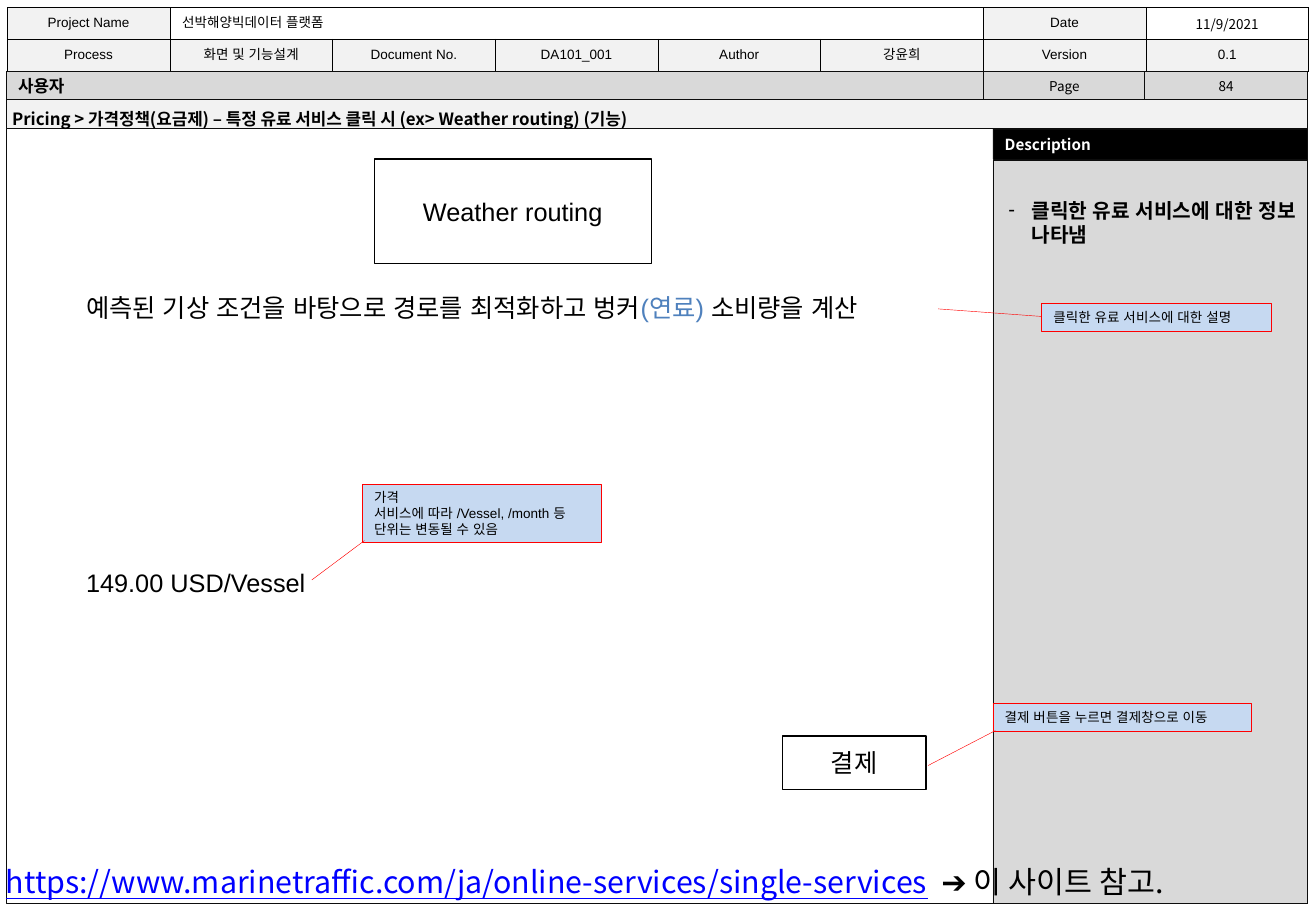
from lxml import etree
from pptx import Presentation
from pptx.dml.color import RGBColor
from pptx.enum.shapes import MSO_SHAPE as SHAPE
from pptx.enum.text import MSO_ANCHOR as ANCHOR, MSO_AUTO_SIZE as AUTO, PP_ALIGN as ALIGN
from pptx.oxml.ns import qn
from pptx.util import Inches, Pt

COLORS = {
    "black": "000000", "white": "FFFFFF", "frame": "0D0D0D", "gray": "D9D9D9",
    "pale": "F2F2F2", "note": "C6D9F1", "red": "FF0000", "accent": "4F81BD",
    "url": "0000FF",
}
SANS, NOTO = "Arial", "Noto Sans CJK KR"


def rgb(name):
    return RGBColor.from_string(COLORS[name])


def format_run(r, size, font=SANS, color="black", bold=False, underline=False):
    r.font.size = Pt(size)
    r.font.name = font
    r.font.bold = bold
    r.font.underline = underline
    r.font.color.rgb = rgb(color)
    # Korean text takes the same typeface as Latin text
    latin = r.font._element.find(qn("a:latin"))
    east_asian = etree.Element(qn("a:ea"))
    east_asian.set("typeface", font)
    latin.addnext(east_asian)


def write(tf, text, size, align=ALIGN.LEFT, anchor=ANCHOR.MIDDLE, **style):
    tf.text = text
    tf.word_wrap = True
    tf.vertical_anchor = anchor
    for p in tf.paragraphs:
        p.alignment = align
        for r in p.runs:
            format_run(r, size, **style)


def add_box(s, bounds, fill=None, line="frame", weight=0.25, kind=SHAPE.RECTANGLE):
    sp = s.shapes.add_shape(kind, *map(Inches, bounds))
    sp.shadow.inherit = False
    if fill:
        sp.fill.solid()
        sp.fill.fore_color.rgb = rgb(fill)
    else:
        sp.fill.background()
    sp.line.color.rgb = rgb(line)
    sp.line.width = Pt(weight)
    return sp


def add_text(s, bounds, text, size, **style):
    tf = s.shapes.add_textbox(*map(Inches, bounds)).text_frame
    write(tf, text, size, anchor=ANCHOR.TOP, **style)
    return tf


def add_run(p, text, size, **style):
    r = p.add_run()
    r.text = text
    format_run(r, size, **style)


def add_callout(s, bounds, text, pointer):
    sp = add_box(s, bounds, "note", "red", kind=SHAPE.LINE_CALLOUT_1)
    for i, value in enumerate(pointer):
        sp.adjustments[i] = value
    write(sp.text_frame, text, 8)


def add_button(s, bounds, text):
    sp = add_box(s, bounds, "white", "black", 0.75)
    write(sp.text_frame, text, 15, align=ALIGN.CENTER)


def set_borders(cell):
    tc_pr = cell._tc.get_or_add_tcPr()
    for i, side in enumerate(("lnL", "lnR", "lnT", "lnB")):
        ln = etree.Element(qn(f"a:{side}"), w=str(Pt(0.25)))
        fill = etree.SubElement(ln, qn("a:solidFill"))
        etree.SubElement(fill, qn("a:srgbClr"), val=COLORS["black"])
        tc_pr.insert(i, ln)


def add_document_table(s):
    rows = [
        ["Project Name", "선박해양빅데이터 플랫폼", "", "", "", "", "Date", "11/9/2021"],
        ["Process", "화면 및 기능설계", "Document No.", "DA101_001",
         "Author", "강윤희", "Version", "0.1"],
    ]
    bounds = (0.06, 0.06, 10.71, 0.52)
    table = s.shapes.add_table(2, 8, *map(Inches, bounds)).table
    table.first_row = table.horz_banding = False
    table.cell(0, 1).merge(table.cell(0, 5))
    for i, row in enumerate(rows):
        table.rows[i].height = Inches(0.26)
        for j, text in enumerate(row):
            cell = table.cell(i, j)
            value_cell = i == 0 and j not in (0, 6)
            if value_cell:
                cell.fill.background()
            else:
                cell.fill.solid()
                cell.fill.fore_color.rgb = rgb("pale")
            set_borders(cell)
            if cell.is_spanned:
                continue
            align = ALIGN.LEFT if cell.is_merge_origin else ALIGN.CENTER
            font = NOTO if (i, j) == (0, 7) else SANS
            write(cell.text_frame, text, 8, align=align, font=font)
            cell.vertical_anchor = ANCHOR.MIDDLE


def add_title(s):
    title = s.shapes.title
    title.left, title.top, title.width, title.height = map(Inches, (0, 0.84, 8.88, 0.27))
    write(title.text_frame, "Pricing > 가격정책(요금제) – 특정 유료 서비스 클릭 시 (ex> Weather routing) (기능)",
          10, anchor=ANCHOR.TOP, font=NOTO, bold=True)
    title.text_frame.auto_size = AUTO.NONE
    # Bring the title in front of its bar
    title.element.getparent().append(title.element)


def add_frame(s):
    add_box(s, (8.17, 1.32, 2.59, 6.12), "gray")
    heading = add_box(s, (8.17, 1.06, 2.59, 0.25), "black")
    write(heading.text_frame, "Description", 9, font=NOTO, color="white", bold=True)
    add_box(s, (0.05, 0.59, 10.71, 6.85))
    add_document_table(s)
    add_box(s, (0.05, 0.59, 10.71, 0.24), "gray")
    for left, text in ((8.09, "Page"), (9.42, "84")):
        sp = add_box(s, (left, 0.59, 1.34, 0.24), "gray")
        write(sp.text_frame, text, 8, align=ALIGN.CENTER, font=NOTO)
    add_box(s, (0.05, 0.82, 10.71, 0.24), "pale")
    add_text(s, (0.05, 0.57, 1.51, 0.27), "사용자", 10, font=NOTO, bold=True)
    add_title(s)


def add_description(s):
    tf = add_text(s, (8.2, 1.58, 2.6, 0.5), "클릭한 유료 서비스에 대한 정보 나타냄", 12, bold=True)
    p_pr = tf.paragraphs[0]._p.get_or_add_pPr()
    p_pr.set("marL", str(Inches(0.19)))
    p_pr.set("indent", str(Inches(-0.19)))
    etree.SubElement(p_pr, qn("a:buFont"), typeface=SANS)
    etree.SubElement(p_pr, qn("a:buChar"), char="-")


def add_screen(s):
    add_button(s, (3.08, 1.31, 2.28, 0.86), "Weather routing")
    tf = add_text(s, (-0.05, 7.06, 10.82, 0.4),
                  "https://www.marinetraffic.com/ja/online-services/single-services",
                  18, font=NOTO, color="url", underline=True)
    add_run(tf.paragraphs[0], "  ➔ 이 사이트 참고.", 18, font=NOTO)
    add_description(s)

    # Service summary and price
    tf = add_text(s, (0.61, 2.36, 7.17, 0.33),
                  "예측된 기상 조건을 바탕으로 경로를 최적화하고 벙커", 15)
    add_run(tf.paragraphs[0], "(연료) ", 15, color="accent")
    add_run(tf.paragraphs[0], "소비량을 계산", 15)
    add_text(s, (0.61, 4.62, 7.17, 0.33), "149.00 USD/Vessel", 15)
    add_button(s, (6.44, 6.06, 1.18, 0.44), "결제")

    # Callouts: bounds, text, pointer start and end as (y, x) shares of the box
    add_callout(s, (2.98, 3.99, 1.97, 0.47),
                "가격\n서비스에 따라 /Vessel, /month 등 단위는 변동될 수 있음",
                (0.98, 0.01, 1.67, -0.21))
    add_callout(s, (8.17, 5.79, 2.13, 0.23), "결제 버튼을 누르면 결제창으로 이동",
                (0.98, 0.01, 2.23, -0.25))
    add_callout(s, (8.57, 2.5, 1.89, 0.23), "클릭한 유료 서비스에 대한 설명",
                (0.46, 0, 0.19, -0.45))


def main():
    prs = Presentation()
    prs.slide_width, prs.slide_height = Inches(10.83), Inches(7.5)
    s = prs.slides.add_slide(prs.slide_layouts[5])
    add_frame(s)
    add_screen(s)
    prs.save("out.pptx")


if __name__ == "__main__":
    main()
